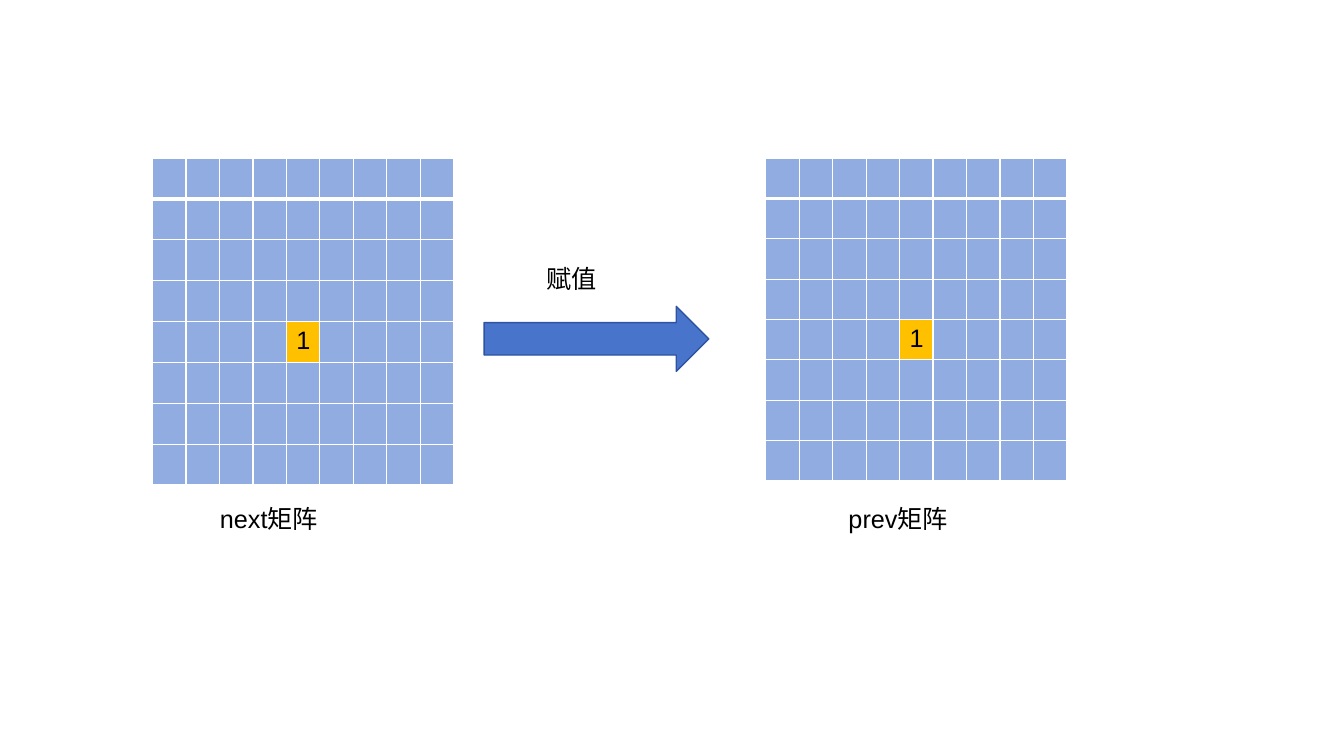
from dataclasses import dataclass

from lxml import etree
from pptx import Presentation
from pptx.dml.color import RGBColor
from pptx.enum import shapes, text
from pptx.oxml import ns
from pptx.util import Pt


@dataclass(frozen=True)
class Theme:
    font: str = "Arial"
    size: float = 18
    ink: str = "000000"
    cell: str = "91ACE0"
    marked: str = "FFC000"
    grid: str = "FFFFFF"
    arrow: str = "4874CB"
    arrow_line: str = "2E54A1"
    thin: float = 1
    thick: float = 3


THEME = Theme()
ROWS, COLUMNS = 8, 9
MARKED_CELL = (4, 4)
LABEL_HEIGHT = 28.8


def color(value):
    return RGBColor.from_string(value)


def write(frame, words, *, size=THEME.size, ink=THEME.ink, font=THEME.font):
    paragraph = frame.paragraphs[0]
    paragraph.font.size = Pt(size)
    if words:
        run = paragraph.add_run()
        run.text = words
        run.font.size = Pt(size)
        run.font.name = font
        run.font.color.rgb = color(ink)


def add_label(slide, words, left, top, width):
    label = slide.shapes.add_textbox(Pt(left), Pt(top), Pt(width), Pt(LABEL_HEIGHT))
    label.text_frame.word_wrap = True
    label.text_frame.auto_size = text.MSO_AUTO_SIZE.SHAPE_TO_FIT_TEXT
    write(label.text_frame, words)


def set_borders(cell, top, bottom):
    properties = cell._tc.get_or_add_tcPr()
    widths = {"L": THEME.thin, "R": THEME.thin, "T": top, "B": bottom}
    for side, width in widths.items():
        line = etree.SubElement(properties, ns.qn(f"a:ln{side}"), w=str(Pt(width)))
        fill = etree.SubElement(line, ns.qn("a:solidFill"))
        etree.SubElement(fill, ns.qn("a:srgbClr"), val=THEME.grid)


# Matrix grid with its name below
def add_matrix(slide, name, left, top, width, height, label_indent):
    frame = slide.shapes.add_table(
        ROWS, COLUMNS, Pt(left), Pt(top), Pt(width), Pt(height))
    table = frame.table
    table.horz_banding = False
    for column in table.columns:
        column.width = Pt(width / COLUMNS)
    for row_index, row in enumerate(table.rows):
        row.height = Pt(height / ROWS)
        for column_index, cell in enumerate(row.cells):
            is_marked = (row_index, column_index) == MARKED_CELL
            set_borders(cell,
                        top=THEME.thick if row_index == 1 else THEME.thin,
                        bottom=THEME.thick if row_index == 0 else THEME.thin)
            cell.fill.solid()
            cell.fill.fore_color.rgb = color(THEME.marked if is_marked else THEME.cell)
            write(cell.text_frame, "1" if is_marked else "")
    add_label(slide, name, left + label_indent, top + height + 12.4, 144.7)


# Assignment arrow with its caption above
def add_assignment(slide, caption, left, top, width, height):
    arrow_height = 46.4
    add_label(slide, caption, left + 37.4, top, 105.8)
    arrow = slide.shapes.add_shape(
        shapes.MSO_SHAPE.RIGHT_ARROW,
        Pt(left), Pt(top + height - arrow_height), Pt(width), Pt(arrow_height))
    arrow.shadow.inherit = False
    arrow.fill.solid()
    arrow.fill.fore_color.rgb = color(THEME.arrow)
    arrow.line.color.rgb = color(THEME.arrow_line)
    arrow.line.width = Pt(THEME.thin)


def main():
    presentation = Presentation()
    presentation.slide_width, presentation.slide_height = Pt(960), Pt(540)
    slide = presentation.slides.add_slide(presentation.slide_layouts[6])
    for name, left, label_indent in (("next矩阵", 109, 41), ("prev矩阵", 547, 52)):
        add_matrix(slide, name, left, 112.9, 215.1, 230.4, label_indent)
    add_assignment(slide, "赋值", 345.8, 184.3, 160.5, 80.9)
    presentation.save("out.pptx")


if __name__ == "__main__":
    main()
